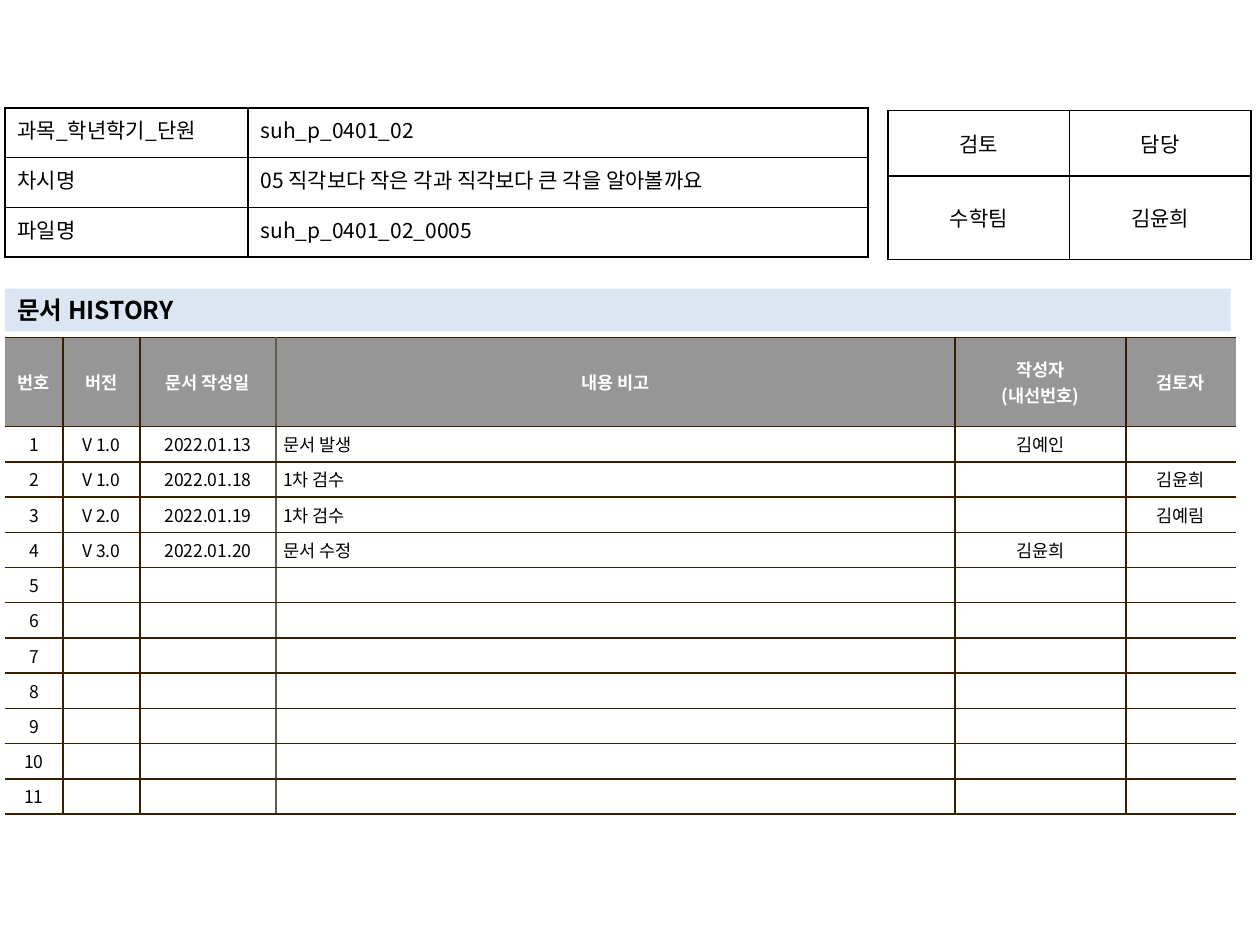
from lxml import etree
from pptx import Presentation
from pptx.dml.color import RGBColor
from pptx.enum.shapes import MSO_SHAPE
from pptx.enum.text import MSO_ANCHOR, PP_ALIGN
from pptx.oxml.ns import qn
from pptx.util import Cm, Pt

LEFT, CENTER, JUSTIFY = PP_ALIGN.LEFT, PP_ALIGN.CENTER, PP_ALIGN.JUSTIFY
TOP, MIDDLE = MSO_ANCHOR.TOP, MSO_ANCHOR.MIDDLE
RECT = MSO_SHAPE.RECTANGLE

FONT = "Noto Sans CJK KR"
COLORS = {
    "text": "000000",
    "white": "FFFFFF",
    "header": "969696",
    "band": "DCE6F2",
    "brown": "362000",
    "taupe": "645B4C",
}

INFO = [
    ("과목_학년학기_단원", "suh_p_0401_02"),
    ("차시명", "05 직각보다 작은 각과 직각보다 큰 각을 알아볼까요"),
    ("파일명", "suh_p_0401_02_0005"),
]
REVIEW = [("검토", "담당"), ("수학팀", "김윤희")]
TITLE = "문서 HISTORY"
HEADER = ("번호", "버전", "문서 작성일", "내용 비고", "작성자\n(내선번호)", "검토자")
ENTRIES = [
    ("V 1.0", "2022.01.13", "문서 발생", "김예인", ""),
    ("V 1.0", "2022.01.18", "1차 검수", "", "김윤희"),
    ("V 2.0", "2022.01.19", "1차 검수", "", "김예림"),
    ("V 3.0", "2022.01.20", "문서 수정", "김윤희", ""),
]
ENTRY_ROWS = 11
NOTE_COL = 3


def rgb(name):
    return RGBColor.from_string(COLORS[name])


def write_text(tf, text, size=12, color="text", bold=False, align=LEFT):
    for i, line in enumerate(text.split("\n")):
        p = tf.paragraphs[0] if i == 0 else tf.add_paragraph()
        p.alignment = align
        if not line:
            etree.SubElement(p._p, qn("a:endParaRPr"), sz=str(size * 100))
            continue
        r = p.add_run()
        r.text = line
        r.font.name, r.font.size, r.font.bold = FONT, Pt(size), bold
        r.font.color.rgb = rgb(color)
        etree.SubElement(r._r.get_or_add_rPr(), qn("a:ea"), typeface=FONT)


def set_borders(cell, **sides):
    tcPr = cell._tc.get_or_add_tcPr()
    for side in "LRTB":
        color = sides[side]
        ln = etree.SubElement(tcPr, qn(f"a:ln{side}"), w=str(Pt(1)))
        if color is None:
            etree.SubElement(ln, qn("a:noFill"))
        else:
            fill = etree.SubElement(ln, qn("a:solidFill"))
            etree.SubElement(fill, qn("a:srgbClr"), val=COLORS[color])


def add_grid(s, left, top, widths, heights):
    table = s.shapes.add_table(
        len(heights), len(widths), Cm(left), Cm(top), Cm(sum(widths)), Cm(sum(heights))
    ).table
    table.first_row = table.horz_banding = False
    for col, width in zip(table.columns, widths):
        col.width = Cm(width)
    for row, height in zip(table.rows, heights):
        row.height = Cm(height)
    return table


def add_plain_table(s, left, top, widths, heights, rows, aligns, anchor):
    table = add_grid(s, left, top, widths, heights)
    for i, row in enumerate(rows):
        for j, text in enumerate(row):
            cell = table.cell(i, j)
            set_borders(cell, **dict.fromkeys("LRTB", "text"))
            cell.fill.background()
            cell.vertical_anchor = anchor
            write_text(cell.text_frame, text, align=aligns[j])


def add_history(s, left, top):
    widths = [1.17, 1.55, 2.74, 13.69, 3.45, 2.21]
    table = add_grid(s, left, top, widths, [1.8] + [0.71] * ENTRY_ROWS)
    blank = ("",) * (len(HEADER) - 1)
    entries = ENTRIES + [blank] * (ENTRY_ROWS - len(ENTRIES))
    rows = [HEADER] + [(str(n), *entry) for n, entry in enumerate(entries, 1)]
    edges = [None] + ["brown"] * (len(HEADER) - 1) + [None]
    edges[NOTE_COL] = "taupe"
    for i, row in enumerate(rows):
        head = i == 0
        for j, text in enumerate(row):
            cell = table.cell(i, j)
            set_borders(cell, L=edges[j], R=edges[j + 1], T="brown", B="brown")
            cell.fill.solid()
            cell.fill.fore_color.rgb = rgb("header" if head else "white")
            cell.vertical_anchor = MIDDLE
            cell.margin_left = cell.margin_right = Cm(0.15)
            cell.margin_top = cell.margin_bottom = Cm(0.1)
            write_text(
                cell.text_frame, text, size=10, bold=head,
                color="white" if head else "text",
                align=LEFT if j == NOTE_COL and not head else CENTER,
            )


def add_title(s, left, top, width, height):
    sp = s.shapes.add_shape(RECT, Cm(left), Cm(top), Cm(width), Cm(height))
    sp.shadow.inherit = False
    sp.fill.solid()
    sp.fill.fore_color.rgb = rgb("band")
    sp.line.fill.background()
    tf = sp.text_frame
    tf.word_wrap = True
    tf.vertical_anchor = MIDDLE
    write_text(tf, TITLE, size=14, bold=True)


def main():
    prs = Presentation()
    prs.slide_width, prs.slide_height = Cm(25.4), Cm(19.05)
    s = prs.slides.add_slide(prs.slide_layouts[6])
    add_history(s, 0.1, 6.8)
    add_plain_table(s, 17.9, 2.23, [3.66] * 2, [1.32, 1.68], REVIEW, (CENTER, CENTER), MIDDLE)
    add_title(s, 0.1, 5.82, 24.71, 0.86)
    add_plain_table(s, 0.1, 2.18, [4.9, 12.5], [1] * 3, INFO, (JUSTIFY, LEFT), TOP)
    prs.save("out.pptx")


if __name__ == "__main__":
    main()
